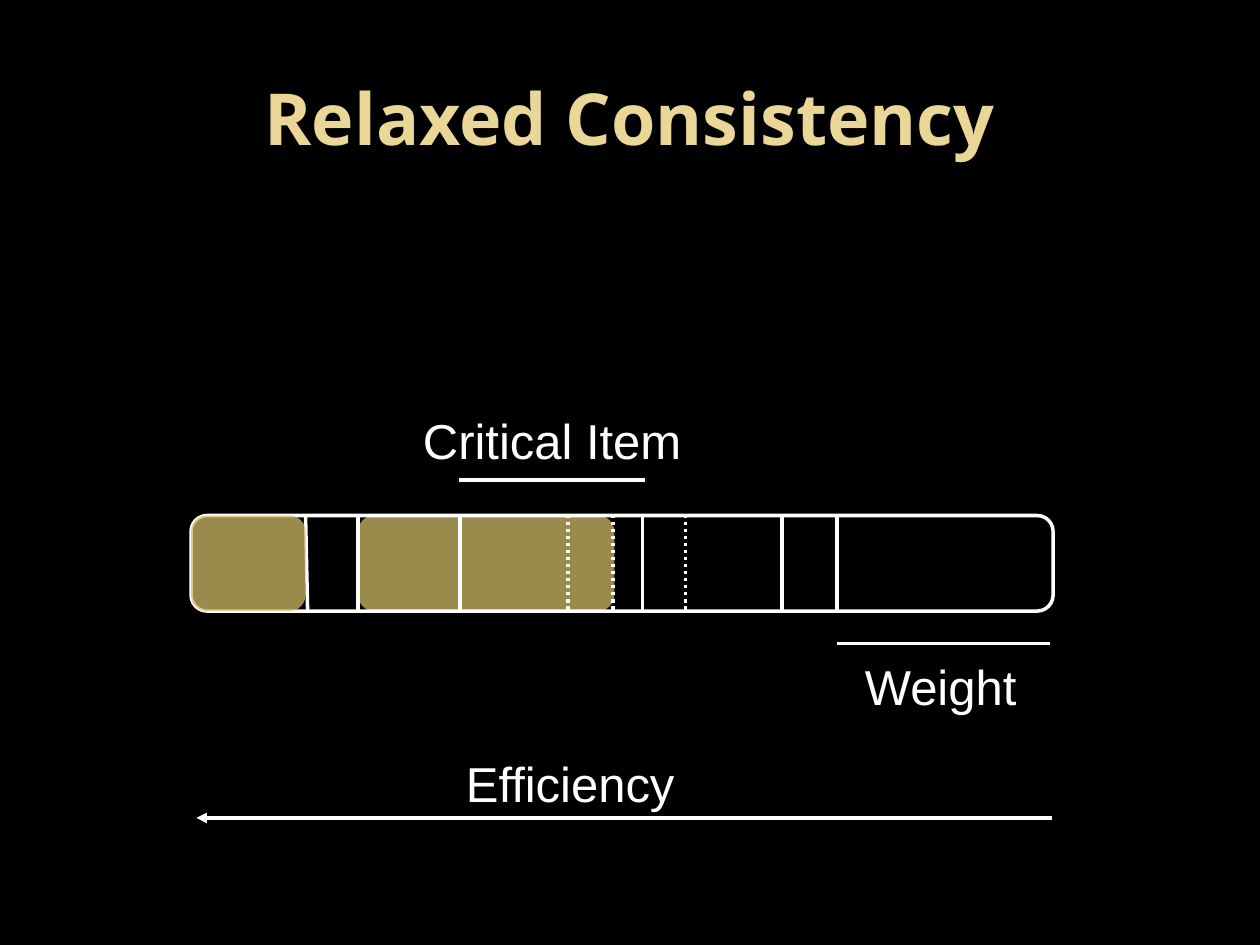
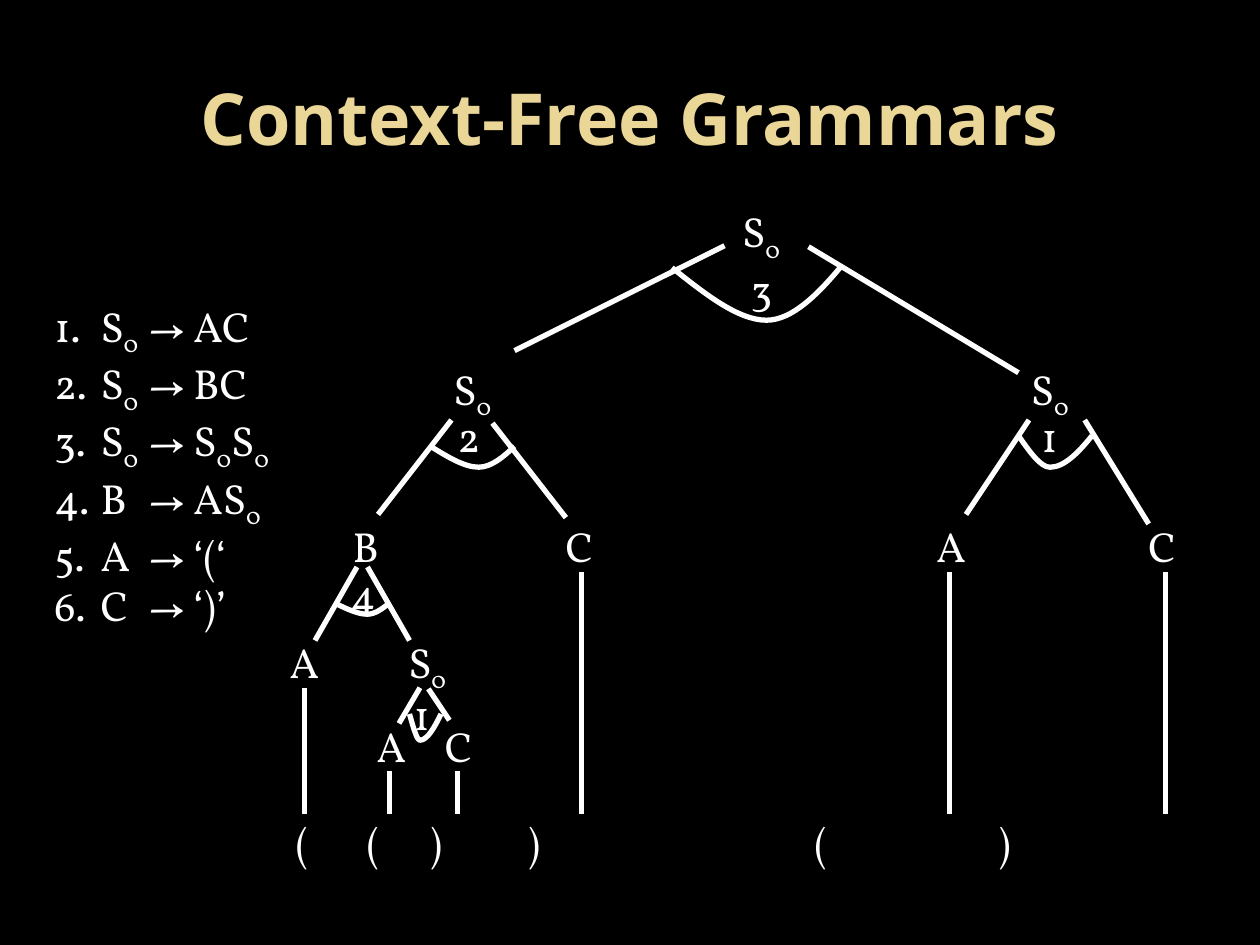
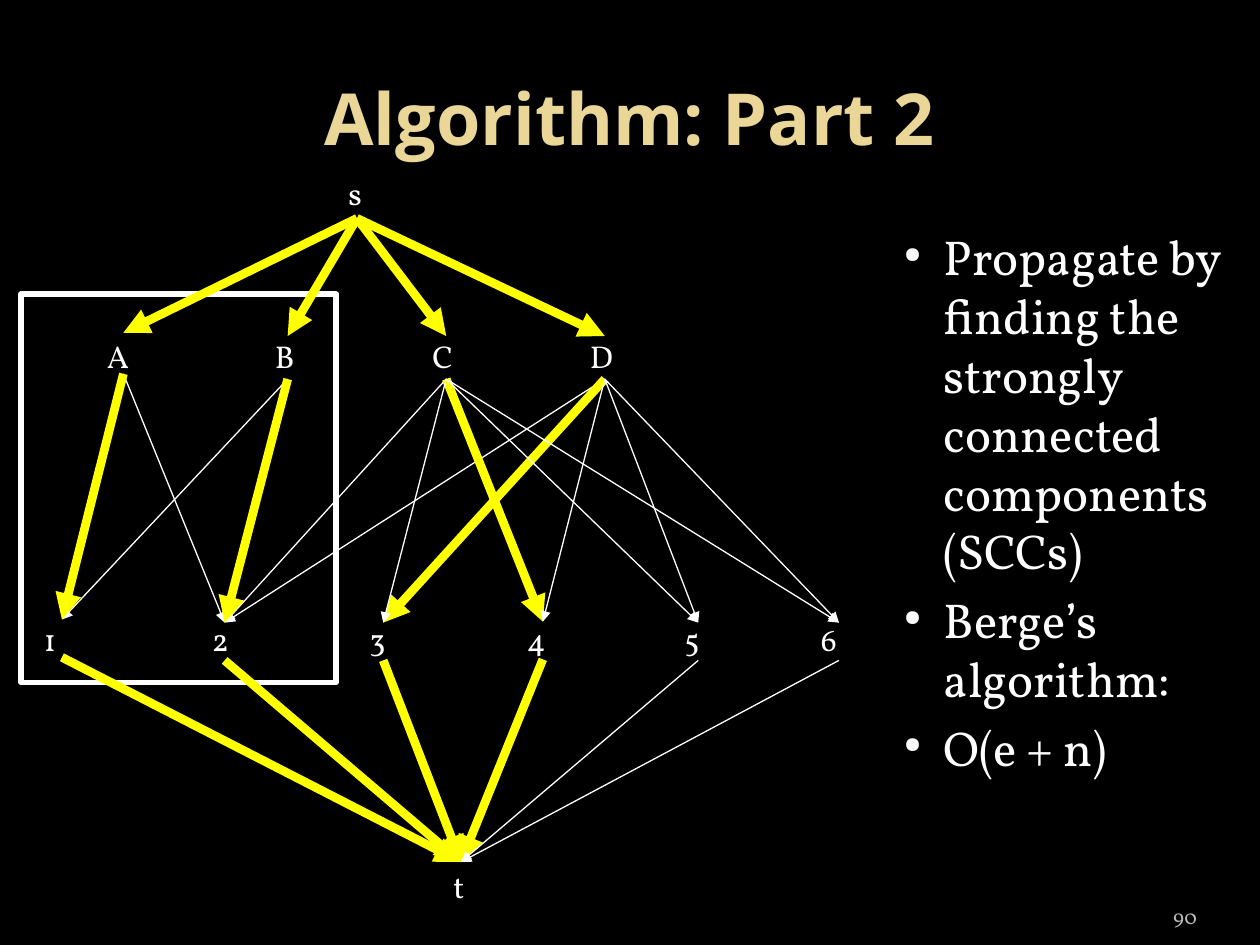
"""Build three lecture slides: a knapsack bar, a parse tree and a matching graph."""
from dataclasses import dataclass
from itertools import groupby
from typing import NamedTuple

from lxml import etree
from pptx import Presentation
from pptx.dml.color import RGBColor
from pptx.enum.dml import MSO_LINE
from pptx.enum.shapes import MSO_CONNECTOR, MSO_SHAPE
from pptx.enum.text import MSO_ANCHOR, MSO_AUTO_SIZE, PP_ALIGN
from pptx.oxml.ns import qn
from pptx.util import Inches, Pt

STRAIGHT = MSO_CONNECTOR.STRAIGHT
ROUND_DOT = MSO_LINE.ROUND_DOT
RECTANGLE = MSO_SHAPE.RECTANGLE
ROUNDED_BLOCK = MSO_SHAPE.FLOWCHART_ALTERNATE_PROCESS
LEFT, CENTER, RIGHT = PP_ALIGN.LEFT, PP_ALIGN.CENTER, PP_ALIGN.RIGHT
TOP, MIDDLE, BOTTOM = MSO_ANCHOR.TOP, MSO_ANCHOR.MIDDLE, MSO_ANCHOR.BOTTOM
FIT_TEXT = MSO_AUTO_SIZE.SHAPE_TO_FIT_TEXT

SLIDE_WIDTH, SLIDE_HEIGHT = Inches(10), Inches(7.5)
COLUMNS, ROWS = 120, 90
COLORS = {
    "background": "000000",
    "ink": "FFFFFF",
    "title": "EAD696",
    "gold": "CEB966",
    "highlight": "FFFF00",
    "page": "BDBDBD",
    "bullet": "F9F9F9",
}
FORMATS = {
    "title": {"name": "Open Sans", "size": Pt(41), "bold": True},
    "caption": {"name": "Arial", "size": Pt(28)},
    "symbol": {"name": "Vollkorn", "size": Pt(24)},
    "node": {"name": "Vollkorn", "size": Pt(18)},
    "body": {"name": "Vollkorn", "size": Pt(28)},
    "page": {"name": "Vollkorn", "size": Pt(12)},
}
TEXT_COLORS = {"title": "title", "page": "page"}
SUBSCRIPT_ZERO = "₀"


class Box(NamedTuple):
    """A rectangle in grid columns and rows."""
    left: float
    top: float
    width: float
    height: float


class Segment(NamedTuple):
    """A line between two grid points."""
    x1: float
    y1: float
    x2: float
    y2: float


class Arc(NamedTuple):
    """A sagging curve that joins two branches of the tree."""
    left: float
    top: float
    lowest: float
    right: float
    depth: float


class Node(NamedTuple):
    """A graph node: where its edges meet and where its label stands."""
    x: float
    arrive: float
    leave: float
    label: Box


@dataclass(frozen=True)
class Pen:
    """The look of a line."""
    width: float
    color: str = "ink"
    dotted: bool = False
    arrow: bool = False


BAR_PEN = Pen(2)
DOTTED_PEN = Pen(2, dotted=True)
BAR_ARROW = Pen(2, arrow=True)
TREE_PEN = Pen(3)
EDGE_PEN = Pen(0.75, arrow=True)
MATCH_PEN = Pen(5, "highlight", arrow=True)

TITLE_BOX = Box(6, 3.6, 108, 15)

BAR = Box(18.2, 49.1, 82.1, 9.1)
PACKED_FIRST = BAR._replace(width=10.9)
PACKED_SECOND = BAR._replace(left=34.1, width=24.4)
ITEM_EDGES = (34.1, 43.8, 61.2, 74.5, 79.7)
SPLIT_EDGES = (54.1, 58.4, 65.3)
BAR_MARKS = (Segment(79.7, 61.3, 100, 61.3), Segment(43.7, 45.7, 61.4, 45.7))
BAR_CAPTIONS = {
    "Efficiency": Box(43.2, 71.2, 22.3, 6.8),
    "Weight": Box(81.2, 61.9, 16.9, 6.8),
    "Critical Item": Box(39.1, 38.5, 27, 6.8),
}

GRAMMAR = (
    "1.\tS₀\t→ AC",
    "2.\tS₀\t→ BC",
    "3.\tS₀\t→ S₀S₀",
    "4.\tB\t→ AS₀",
    "5.\tA\t→ ‘(‘",
    "6.\tC\t→ ‘)’",
)
GRAMMAR_TABS = (4.4, 9)
SENTENCE = "(\t(\t)\t)\t(\t)"
SENTENCE_TABS = (6.75, 12.75, 22.1, 49.4, 66.9)
SYMBOL_WIDTHS = {"S₀": 6.6, "A": 5, "B": 5, "C": 5.3}
RULE_WIDTH = 4.7
TREE_LABELS = {
    "S₀": ((69.5, 19), (42, 34), (97, 34), (37.7, 60)),
    "A": ((88, 49), (26.4, 60), (34.7, 68)),
    "B": ((32.4, 49),),
    "C": ((52.7, 49), (108.2, 49), (41.2, 68)),
    "1": ((98, 38.5), (38.2, 65)),
    "2": ((42.4, 38.5),),
    "3": ((70.3, 24.5),),
    "4": ((32.2, 53.5),),
}
BRANCHES = (
    Segment(49, 33.4, 69, 23.4), Segment(97, 35.5, 77, 23.5),
    Segment(36, 49, 43, 40), Segment(53.9, 49.3, 46.9, 40.3),
    Segment(92, 49, 98, 40), Segment(103.3, 40, 109.4, 49.9),
    Segment(30, 61, 34, 54), Segment(35, 54, 39, 61),
    Segment(38, 68.9, 40, 65.5), Segment(40.8, 65.6, 42.8, 68.6),
)
LEAF_BOTTOM = 77.5
LEAF_STEMS = {29: 65.5, 37.1: 73.4, 43.6: 73.4, 55.4: 54.5, 90.4: 54.5, 111: 54.5}
ARCS = (
    Arc(64, 25.5, 73, 80, 5), Arc(41, 42.5, 45.6, 49, 2),
    Arc(97, 41.5, 100, 104, 3), Arc(32, 57.5, 35, 37, 1),
    Arc(39, 68, 40, 42, 2.5),
)

NODES = {
    "s": Node(34, 20.8, 20.8, Box(32, 16, 3.7, 4.8)),
    "A": Node(11.75, 31.7, 35.6, Box(9, 31.5, 4.8, 4.8)),
    "B": Node(27.4, 32, 36.1, Box(25, 31.5, 4.3, 4.8)),
    "C": Node(42.5, 32, 36.1, Box(40, 31.5, 4.6, 4.8)),
    "D": Node(57.6, 32, 36.1, Box(55, 31.5, 4.8, 4.8)),
    "1": Node(5.9, 59, 62.6, Box(3, 58.5, 4, 4.8)),
    "2": Node(21.4, 59.3, 62.9, Box(19, 58.5, 4, 4.8)),
    "3": Node(36.5, 59.3, 62.9, Box(34, 58.5, 4, 4.8)),
    "4": Node(51.7, 59.2, 62.8, Box(49, 58.5, 4, 4.8)),
    "5": Node(66.5, 59.3, 62.9, Box(64, 58.5, 4, 4.8)),
    "6": Node(79.9, 59.3, 62.9, Box(77, 58.5, 4, 4.8)),
    "t": Node(43.9, 82.1, 82.1, Box(42, 82, 3.4, 4.8)),
}
EDGES = "B1 A2 C2 D2 D3 C4 C5 C6 D6 D5 sA sB sC sD 1t 2t 3t 4t 5t 6t A1 B2 C3 D4".split()
MATCHED_EDGES = set("D3 C4 sA sB sC sD 1t 2t 3t 4t A1 B2".split())
COMPONENT = Box(2, 28, 30, 37)
POINTS = (
    "Propagate by finding the strongly connected components (SCCs)",
    "Berge’s algorithm:",
    "O(e + n)",
)


def across(columns: float) -> int:
    """Convert grid columns to a length."""
    return round(SLIDE_WIDTH * columns / COLUMNS)


def down(rows: float) -> int:
    """Convert grid rows to a length."""
    return round(SLIDE_HEIGHT * rows / ROWS)


def place(box: Box) -> tuple[int, int, int, int]:
    """Convert a grid box to slide lengths."""
    return across(box.left), down(box.top), across(box.width), down(box.height)


def rgb(name: str) -> RGBColor:
    """Look up a palette colour."""
    return RGBColor.from_string(COLORS[name])


def apply(target, values: dict) -> None:
    """Set every attribute in a format dict."""
    for name, value in values.items():
        setattr(target, name, value)


def add_child(parent, tag: str, **attributes: str):
    """Append a drawing element."""
    return etree.SubElement(parent, qn(tag), attributes)


def write(paragraph, text: str, style: str) -> None:
    """Write styled runs, lowering each subscript zero."""
    for lowered, letters in groupby(text, lambda letter: letter == SUBSCRIPT_ZERO):
        run = paragraph.add_run()
        run.text = "0" if lowered else "".join(letters)
        apply(run.font, FORMATS[style])
        run.font.color.rgb = rgb(TEXT_COLORS.get(style, "ink"))
        if lowered:
            run.font._element.set("baseline", "-25000")


def add_tabs(paragraph, stops: tuple[float, ...]) -> None:
    """Give a paragraph left tab stops."""
    tab_list = add_child(paragraph._p.get_or_add_pPr(), "a:tabLst")
    for stop in stops:
        add_child(tab_list, "a:tab", pos=str(across(stop)), algn="l")


def add_bullet(paragraph) -> None:
    """Give a paragraph a small hanging bullet."""
    properties = paragraph._p.get_or_add_pPr()
    properties.set("marL", str(across(5.2)))
    properties.set("indent", str(-across(3.8)))
    add_child(add_child(properties, "a:buClr"), "a:srgbClr", val=COLORS["bullet"])
    add_child(properties, "a:buSzPct", val="45000")
    add_child(properties, "a:buChar", char="●")


def add_text(slide, box: Box, lines: tuple[str, ...], style: str, wrap: bool = True,
             align=LEFT, anchor=TOP, tabs: tuple[float, ...] = (),
             bullets: bool = False, gap: float = 0):
    """Add a text box with one paragraph per line."""
    frame = slide.shapes.add_textbox(*place(box)).text_frame
    apply(frame, {"word_wrap": wrap, "vertical_anchor": anchor})
    if not wrap:
        frame.auto_size = FIT_TEXT
    for index, line in enumerate(lines):
        paragraph = frame.add_paragraph() if index else frame.paragraphs[0]
        paragraph.alignment = align
        if bullets:
            add_bullet(paragraph)
        if tabs:
            add_tabs(paragraph, tabs)
        if index and gap:
            paragraph.space_before = Pt(gap)
        write(paragraph, line, style)
    return frame


def draw_outline(shape, pen: Pen) -> None:
    """Apply a pen to the line of a shape or connector."""
    shape.line.color.rgb = rgb(pen.color)
    shape.line.width = Pt(pen.width)
    if pen.dotted:
        shape.line.dash_style = ROUND_DOT
    if pen.arrow:
        add_child(shape.line._get_or_add_ln(), "a:tailEnd", type="triangle")


def add_line(slide, segment: Segment, pen: Pen) -> None:
    """Add a straight connector."""
    x1, y1, x2, y2 = segment
    connector = slide.shapes.add_connector(
        STRAIGHT, across(x1), down(y1), across(x2), down(y2))
    draw_outline(connector, pen)
    add_child(connector._element.spPr, "a:effectLst")


def add_block(slide, kind, box: Box, fill: str = "", pen: Pen | None = None,
              opacity: int = 100) -> None:
    """Add a preset shape with an optional fill and outline."""
    shape = slide.shapes.add_shape(kind, *place(box))
    shape.shadow.inherit = False
    if fill:
        shape.fill.solid()
        shape.fill.fore_color.rgb = rgb(fill)
        if opacity < 100:
            color = shape._element.spPr.find(".//" + qn("a:srgbClr"))
            add_child(color, "a:alpha", val=str(opacity * 1000))
    else:
        shape.fill.background()
    if pen:
        draw_outline(shape, pen)
    else:
        shape.line.fill.background()


def add_arc(slide, arc: Arc) -> None:
    """Add a curve of two cubic pieces that meet at its lowest point."""
    fall, rise = arc.lowest - arc.left, arc.right - arc.lowest
    middle, bottom = arc.top + arc.depth / 2, arc.top + arc.depth
    points = (
        (arc.left + 0.35 * fall, middle), (arc.left + 0.7 * fall, bottom),
        (arc.lowest, bottom), (arc.lowest + 0.35 * rise, bottom),
        (arc.lowest + 0.7 * rise, middle), (arc.right, arc.top),
    )
    builder = slide.shapes.build_freeform(across(arc.left), down(arc.top))
    builder.add_line_segments([(across(x), down(y)) for x, y in points], close=False)
    shape = builder.convert_to_shape()
    outline = shape._element.spPr.find(".//" + qn("a:path"))
    pieces = outline.findall(qn("a:lnTo"))
    for start in range(0, len(pieces), 3):
        curve = add_child(outline, "a:cubicBezTo")
        for piece in pieces[start:start + 3]:
            curve.append(piece[0])
            outline.remove(piece)
    shape.shadow.inherit = False
    shape.fill.background()
    draw_outline(shape, TREE_PEN)


def add_slide(presentation, title: str):
    """Add a dark slide with its title."""
    slide = presentation.slides.add_slide(presentation.slide_layouts[6])
    slide.background.fill.solid()
    slide.background.fill.fore_color.rgb = rgb("background")
    add_text(slide, TITLE_BOX, (title,), "title", align=CENTER, anchor=MIDDLE)
    return slide


def build_consistency(presentation) -> None:
    """Draw the bar of items with the packed ones filled."""
    slide = add_slide(presentation, "Relaxed Consistency")
    add_block(slide, ROUNDED_BLOCK, PACKED_SECOND, "gold", opacity=75)
    add_block(slide, ROUNDED_BLOCK, BAR, pen=BAR_PEN)
    top, bottom = BAR.top - 0.1, BAR.top + BAR.height
    add_line(slide, Segment(29.3, bottom, 29.1, top), BAR_PEN)
    for edges, pen in ((ITEM_EDGES, BAR_PEN), (SPLIT_EDGES, DOTTED_PEN)):
        for x in edges:
            add_line(slide, Segment(x, top, x, bottom), pen)
    add_block(slide, ROUNDED_BLOCK, PACKED_FIRST, "gold", opacity=75)
    for mark in BAR_MARKS:
        add_line(slide, mark, BAR_PEN)
    add_line(slide, Segment(100.2, 77.9, 18.7, 77.9), BAR_ARROW)
    for caption, box in BAR_CAPTIONS.items():
        add_text(slide, box, (caption,), "caption", wrap=False)


def build_grammar(presentation) -> None:
    """Draw the grammar rules and the parse tree."""
    slide = add_slide(presentation, "Context-Free Grammars")
    add_text(slide, Box(4, 28, 29, 30), GRAMMAR, "symbol", tabs=GRAMMAR_TABS)
    for branch in BRANCHES:
        add_line(slide, branch, TREE_PEN)
    for x, top in LEAF_STEMS.items():
        add_line(slide, Segment(x, top, x, LEAF_BOTTOM), TREE_PEN)
    for symbol, corners in TREE_LABELS.items():
        width = SYMBOL_WIDTHS.get(symbol, RULE_WIDTH)
        for left, top in corners:
            add_text(slide, Box(left, top, width, 6), (symbol,), "symbol", wrap=False)
    for arc in ARCS:
        add_arc(slide, arc)
    add_text(slide, Box(27, 77.2, 88.2, 6), (SENTENCE,), "symbol", tabs=SENTENCE_TABS)


def build_algorithm(presentation) -> None:
    """Draw the flow graph with its matching and the key points."""
    slide = add_slide(presentation, "Algorithm: Part 2")
    add_block(slide, RECTANGLE, COMPONENT, "background", TREE_PEN)
    for edge in EDGES:
        start, end = (NODES[name] for name in edge)
        pen = MATCH_PEN if edge in MATCHED_EDGES else EDGE_PEN
        add_line(slide, Segment(start.x, start.leave, end.x, end.arrive), pen)
    for name, node in NODES.items():
        add_text(slide, node.label, (name,), "node", wrap=False)
    add_text(slide, Box(83.5, 21, 36.5, 69), POINTS, "body", bullets=True, gap=5.6)
    page = add_text(slide, Box(104, 84.2, 10, 4.8), ("90",), "page",
                    align=RIGHT, anchor=BOTTOM)
    apply(page, {"margin_left": 0, "margin_right": 0})


def main() -> None:
    """Build and save the presentation."""
    presentation = Presentation()
    apply(presentation, {"slide_width": SLIDE_WIDTH, "slide_height": SLIDE_HEIGHT})
    for build in (build_consistency, build_grammar, build_algorithm):
        build(presentation)
    presentation.save("out.pptx")


if __name__ == "__main__":
    main()
